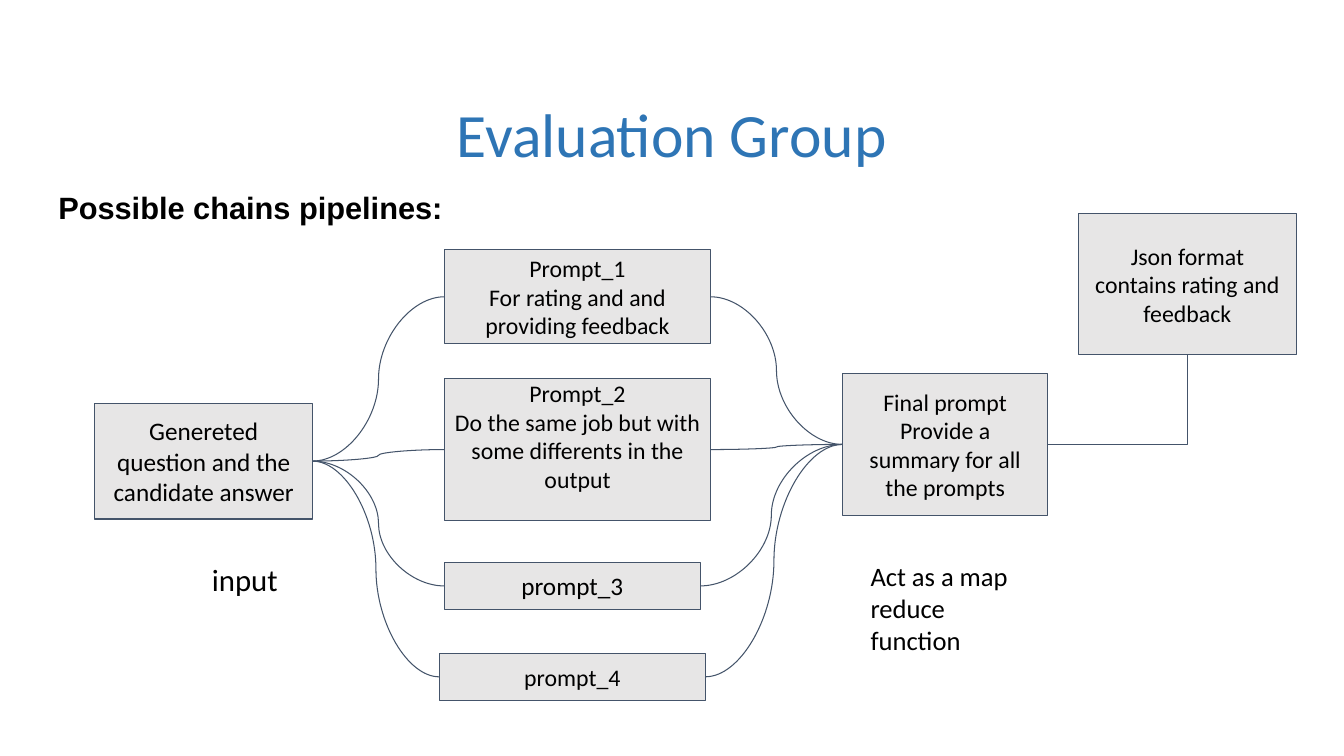
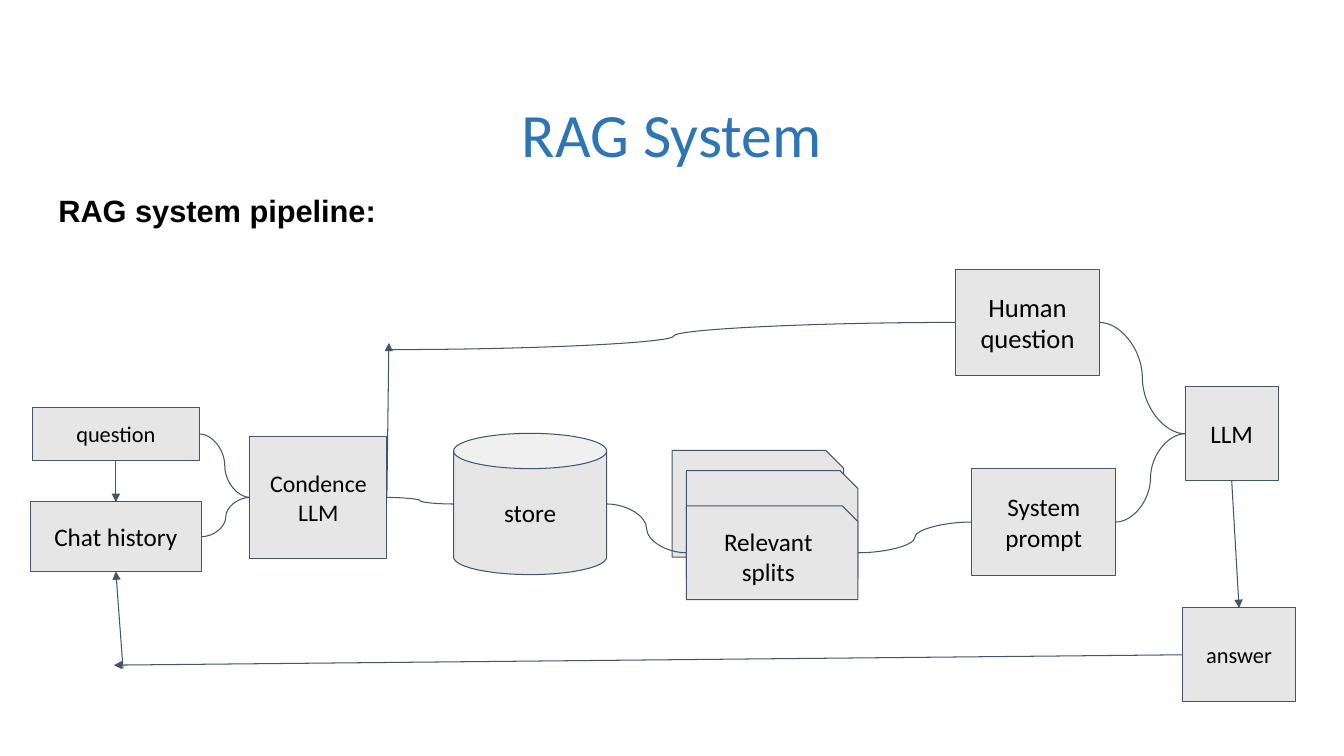
from lxml.etree import SubElement
from pptx import Presentation
from pptx.dml.color import RGBColor
from pptx.enum.shapes import MSO_CONNECTOR, MSO_SHAPE
from pptx.enum.text import MSO_ANCHOR, MSO_AUTO_SIZE, PP_ALIGN
from pptx.oxml.ns import qn
from pptx.util import Cm, Pt

COLORS = {"title": "2E75B5", "text": "000000", "fill": "E7E6E6", "line": "44546A"}
TOP, LEFT, BOTTOM, RIGHT = range(4)
SIDE_FRACTIONS = {TOP: (0.5, 0), LEFT: (0, 0.5), BOTTOM: (0.5, 1), RIGHT: (1, 0.5)}
CURVE, ELBOW, STRAIGHT = MSO_CONNECTOR.CURVE, MSO_CONNECTOR.ELBOW, MSO_CONNECTOR.STRAIGHT

# Format values shared by the slides
TITLE_FONT = {"name": "Calibri", "size": Pt(44), "bold": False}
HEADING_FONT = {"name": "Arial", "size": Pt(22), "bold": True}
TITLE_PARAGRAPH = {"alignment": PP_ALIGN.CENTER, "line_spacing": 0.9}
HEADING_PARAGRAPH = {"alignment": PP_ALIGN.LEFT, "line_spacing": 1.15, "space_before": Pt(12)}
TITLE_FRAME = {"vertical_anchor": MSO_ANCHOR.BOTTOM, "auto_size": MSO_AUTO_SIZE.NONE}
PADDING = {f"margin_{side}": Cm(0.25) for side in ("left", "top", "right", "bottom")}
TEXT_FRAME = {"word_wrap": True, "vertical_anchor": MSO_ANCHOR.TOP,
              "auto_size": MSO_AUTO_SIZE.NONE, **PADDING}
BOX_FRAME = {**TEXT_FRAME, "vertical_anchor": MSO_ANCHOR.MIDDLE}


def set_values(target, values):
    for name, value in values.items():
        setattr(target, name, value)


def color(name):
    return RGBColor.from_string(COLORS[name])


class Deck:
    """Holds the style and the current slide."""

    def __init__(self):
        self.presentation = Presentation()
        set_values(self.presentation, {"slide_width": Cm(33.87), "slide_height": Cm(19.05)})
        self.slide = None

    def fill_text(self, shape, text, font, paragraph_format, frame, color_name="text"):
        text_frame = shape.text_frame
        text_frame.text = text
        set_values(text_frame, frame)
        for paragraph in text_frame.paragraphs:
            set_values(paragraph, paragraph_format)
            set_values(paragraph.font, font)
            paragraph.font.color.rgb = color(color_name)

    def place(self, shape, left, top, width, height):
        set_values(shape, {"left": Cm(left), "top": Cm(top),
                           "width": Cm(width), "height": Cm(height)})

    def start_slide(self, title, heading, heading_top):
        self.slide = self.presentation.slides.add_slide(self.presentation.slide_layouts[0])
        title_shape, body = self.slide.placeholders
        self.place(title_shape, 8.66, 2.08, 16.54, 2.36)
        self.fill_text(title_shape, title, TITLE_FONT, TITLE_PARAGRAPH, TITLE_FRAME, "title")
        self.place(body, 0.58, heading_top, 32.72, 13.89)
        self.fill_text(body, heading, HEADING_FONT, HEADING_PARAGRAPH,
                       {**TEXT_FRAME, "margin_left": Cm(0.89)})

    def box(self, text, left, top, width, height, size=18, kind=MSO_SHAPE.RECTANGLE, **frame):
        shape = self.slide.shapes.add_shape(kind, Cm(left), Cm(top), Cm(width), Cm(height))
        shape.shadow.inherit = False
        shape.fill.solid()
        shape.fill.fore_color.rgb = color("fill")
        self.style_line(shape)
        if text:
            self.fill_text(shape, text, {"name": "Calibri", "size": Pt(size)},
                           {"alignment": PP_ALIGN.CENTER}, {**BOX_FRAME, **frame})
        return shape

    def label(self, text, left, top, width, height, size, **frame):
        shape = self.slide.shapes.add_textbox(Cm(left), Cm(top), Cm(width), Cm(height))
        self.fill_text(shape, text, {"name": "Calibri", "size": Pt(size)}, {},
                       {**TEXT_FRAME, **frame})

    def style_line(self, shape):
        shape.line.color.rgb = color("line")
        shape.line.width = Pt(0.75)

    def position(self, end):
        """An end is a (shape, side) pair or a point in centimetres."""
        if isinstance(end[0], (int, float)):
            return Cm(end[0]), Cm(end[1])
        shape, side = end
        across, down = SIDE_FRACTIONS[side]
        return int(shape.left + across * shape.width), int(shape.top + down * shape.height)

    def link(self, start, end, kind=CURVE, arrow=False):
        connector = self.slide.shapes.add_connector(
            kind, *self.position(start), *self.position(end))
        for target, attach in ((start, connector.begin_connect), (end, connector.end_connect)):
            is_shape = not isinstance(target[0], (int, float))
            if is_shape and target[0].auto_shape_type == MSO_SHAPE.RECTANGLE:
                attach(*target)
        self.style_line(connector)
        properties = connector._element.spPr
        if kind == ELBOW:  # one corner only
            properties.find(qn("a:prstGeom")).set("prst", "bentConnector2")
        if arrow:
            SubElement(properties.find(qn("a:ln")), qn("a:tailEnd"), type="triangle")
        SubElement(properties, qn("a:effectLst"))


def build_evaluation(deck):
    deck.start_slide("Evaluation Group", "Possible chains pipelines:", 4.37)

    # Boxes
    prompts = [
        deck.box("Prompt_1\nFor rating and and providing feedback",
                 11.2, 6.3, 6.71, 2.36, 17),
        deck.box("Prompt_2\nDo the same job but with some differents in the output",
                 11.2, 9.55, 6.71, 3.56, 17, vertical_anchor=MSO_ANCHOR.TOP, margin_top=0),
        deck.box("prompt_3", 11.2, 14.17, 6.45, 1.19),
        deck.box("prompt_4", 11.07, 16.46, 6.71, 1.19, 17),
    ]
    final = deck.box("Final prompt\nProvide a summary for all the prompts",
                     21.23, 9.42, 5.18, 3.56, 17)
    source = deck.box("Genereted question and the candidate answer",
                      2.39, 10.16, 5.49, 2.92)
    result = deck.box("Json format contains rating and feedback",
                      27.18, 5.38, 5.49, 3.56, 17)

    # Captions
    deck.label("Act as a map reduce function", 21.69, 13.87, 4.24, 3.38, 19)
    deck.label("input", 2.57, 13.87, 5.16, 1.8, 22, margin_left=Cm(2.77))

    # Links
    for prompt in prompts:
        deck.link((source, RIGHT), (prompt, LEFT))
        deck.link((prompt, RIGHT), (final, LEFT))
    deck.link((final, RIGHT), (result, BOTTOM), ELBOW)


def build_rag(deck):
    deck.start_slide("RAG System", "RAG system pipeline:", 4.45)

    # Boxes
    history = deck.box("Chat history", 0.76, 12.65, 4.32, 1.75)
    question = deck.box("question", 0.81, 10.26, 4.22, 1.35, 16)
    condense = deck.box("Condence LLM", 6.3, 11, 3.45, 3.07, 17)
    store = deck.box("store", 11.43, 10.92, 3.86, 3.56, kind=MSO_SHAPE.CAN)
    for left, top in ((16.94, 11.35), (17.3, 11.86)):
        deck.box("", left, top, 4.32, 2.69, kind=MSO_SHAPE.SNIP_1_RECTANGLE)
    splits = deck.box("Relevant splits", 17.3, 12.75, 4.32, 2.36,
                      kind=MSO_SHAPE.SNIP_1_RECTANGLE)
    system = deck.box("System prompt", 24.49, 11.81, 3.63, 2.69)
    human = deck.box("Human question", 24.08, 6.78, 3.63, 2.69, 19)
    model = deck.box("LLM", 29.87, 9.75, 2.34, 2.36)
    answer = deck.box("answer", 29.79, 15.32, 2.87, 2.36, 16)

    # Curved links
    for start, end in ((question, condense), (history, condense), (condense, store),
                       (store, splits), (splits, system), (system, model), (human, model)):
        deck.link((start, RIGHT), (end, LEFT))
    deck.link((9.88, 8.81), (human, LEFT))

    # Arrows
    for start, end in (
        ((question, BOTTOM), (history, TOP)),
        ((condense, RIGHT), (9.8, 8.64)),
        ((model, BOTTOM), (answer, TOP)),
        ((answer, LEFT), (2.87, 16.76)),
        ((3.1, 16.84), (history, BOTTOM)),
    ):
        deck.link(start, end, STRAIGHT, arrow=True)


def main():
    deck = Deck()
    build_evaluation(deck)
    build_rag(deck)
    deck.presentation.save("out.pptx")


if __name__ == "__main__":
    main()
